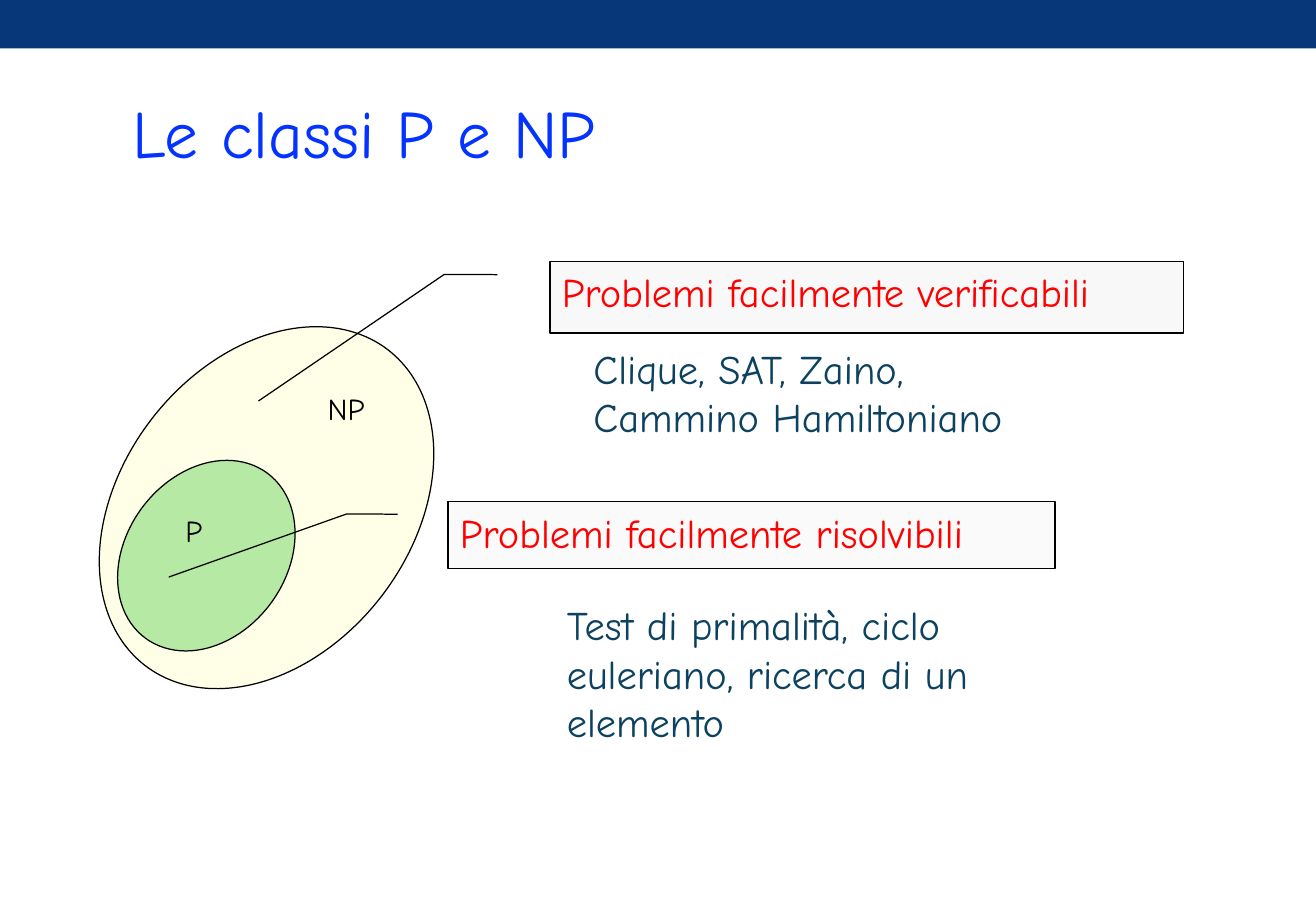
import pptx
import pptx.dml.color
import pptx.enum.shapes
import pptx.enum.text
import pptx.oxml
import pptx.oxml.ns
import pptx.util

Pt = pptx.util.Pt
SHAPES = pptx.enum.shapes.MSO_SHAPE
COLORS = {
    "bar": "073779",
    "title": "0432FF",
    "np": "FFFF00",
    "p": "00B400",
    "callout": "D9D9D9",
    "heading": "FF0000",
    "examples": "0C4160",
    "black": "000000",
}


def rgb(name):
    return pptx.dml.color.RGBColor.from_string(COLORS[name])


class SlideBuilder:
    """Places elements by percent of slide width and height."""

    font = "Comic Neue"

    def __init__(self, prs):
        self.prs = prs
        self.slide = prs.slides.add_slide(prs.slide_layouts[5])

    def box(self, left, top, width, height):
        w, h = self.prs.slide_width / 100, self.prs.slide_height / 100
        return [round(v) for v in (left * w, top * h, width * w, height * h)]

    def set_text(self, sp, lines, size, color, wrap=True):
        tf = sp.text_frame
        tf.text = "\n".join(lines)
        tf.word_wrap = wrap
        tf.auto_size = pptx.enum.text.MSO_AUTO_SIZE.NONE
        tf.vertical_anchor = pptx.enum.text.MSO_ANCHOR.TOP
        for p in tf.paragraphs:
            p.alignment = pptx.enum.text.PP_ALIGN.LEFT
            p.space_before = Pt(0)
            p.font.name = self.font
            p.font.size = Pt(size)
            p.font.color.rgb = rgb(color)

    def title(self, text, at):
        sp = self.slide.shapes.title
        sp.left, sp.top, sp.width, sp.height = self.box(*at)
        self.set_text(sp, [text], 40, "title")

    def text(self, lines, at, size, color, wrap=True):
        sp = self.slide.shapes.add_textbox(*self.box(*at))
        self.set_text(sp, lines, size, color, wrap)

    def shape(self, kind, at, color, opacity=100, outlined=True):
        sp = self.slide.shapes.add_shape(kind, *self.box(*at))
        sp.shadow.inherit = False
        sp.fill.solid()
        sp.fill.fore_color.rgb = rgb(color)
        if opacity < 100:
            ns = pptx.oxml.ns
            clr = sp.element.spPr.find(f"{ns.qn('a:solidFill')}/{ns.qn('a:srgbClr')}")
            clr.append(pptx.oxml.parse_xml(
                f'<a:alpha {ns.nsdecls("a")} val="{opacity * 1000}"/>'))
        if outlined:
            sp.line.color.rgb = rgb("black")
            sp.line.width = Pt(0.75)
        else:
            sp.line.fill.background()
        return sp

    def ellipse(self, at, rotation, color, opacity):
        self.shape(SHAPES.OVAL, at, color, opacity).rotation = rotation

    def callout(self, text, at, opacity, tip):
        """Draws a bordered callout; tip is the line's end (y, x) in box shares."""
        sp = self.shape(SHAPES.LINE_CALLOUT_2, at, "callout", opacity)
        for i, value in enumerate((0.188, -0.083, 0.185, -0.167, *tip)):
            sp.adjustments[i] = value
        self.set_text(sp, [text], 24, "heading")


def main():
    prs = pptx.Presentation()
    prs.slide_width = pptx.util.Inches(10.84)
    prs.slide_height = pptx.util.Inches(7.5)
    s = SlideBuilder(prs)

    s.shape(SHAPES.RECTANGLE, (0, 0, 100, 5.33), "bar", outlined=False)
    s.title("Le classi P e NP", (9.13, 9.33, 48.15, 10.27))

    s.ellipse((9.23, 33.87, 22.05, 43.73), 37.6, "np", 9)
    s.ellipse((9.59, 49.73, 12.18, 22.53), 36.5, "p", 29)
    s.text(["P"], (13.19, 55.6, 3.51, 5.33), 18, "black", wrap=False)

    s.callout("Problemi facilmente verificabili",
              (41.79, 28.67, 48.15, 7.87), 18, (1.95, -0.46))
    s.callout("Problemi facilmente risolvibili",
              (34.04, 55.07, 46.13, 7.33), 13, (1.13, -0.46))

    s.text(["Clique, SAT, Zaino,", "Cammino Hamiltoniano"],
           (44.19, 37.07, 36.07, 12), 24, "examples")
    s.text(["Test di primalità, ciclo euleriano, ricerca di un elemento"],
           (42.16, 65.2, 36.07, 17.33), 24, "examples")
    s.text(["NP"], (23.99, 42.13, 5.07, 5.33), 18, "black", wrap=False)

    prs.save("out.pptx")


if __name__ == "__main__":
    main()
